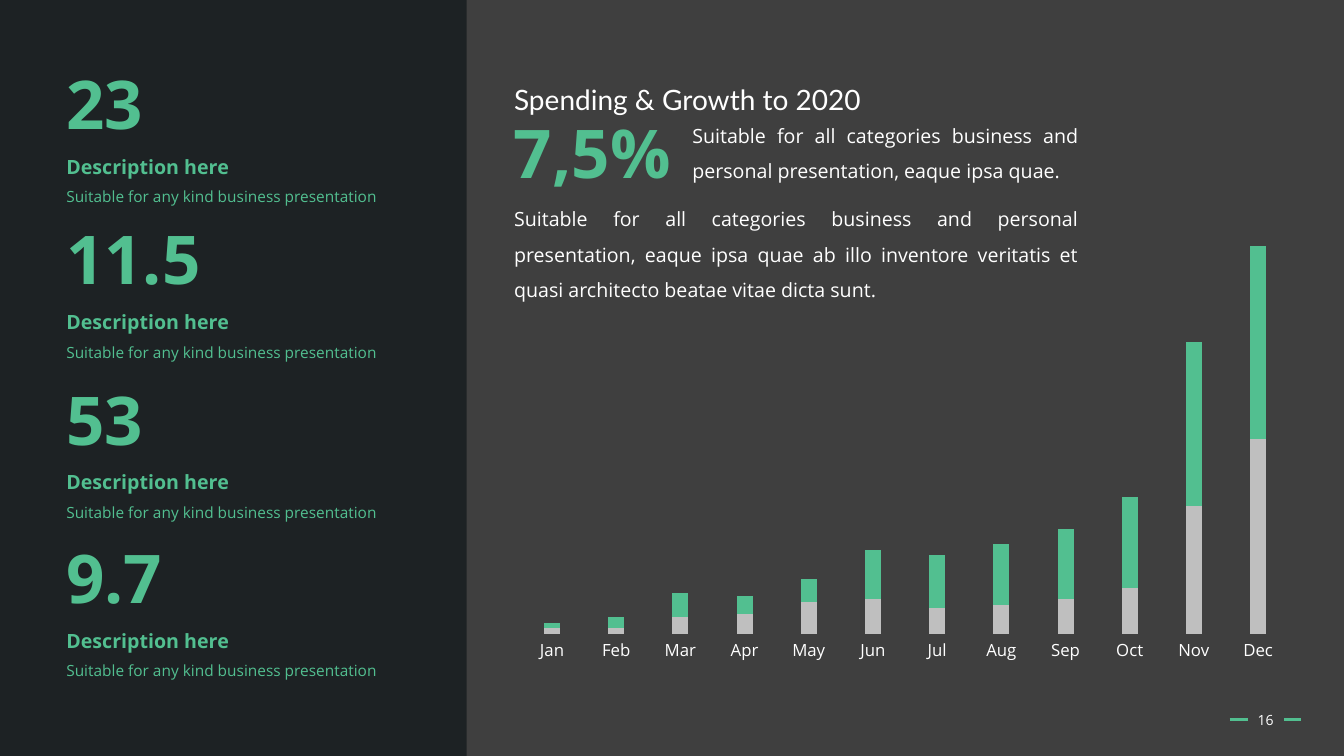
from lxml.etree import SubElement
from pptx import Presentation
from pptx.chart.data import CategoryChartData
from pptx.dml.color import RGBColor
from pptx.enum.chart import XL_CHART_TYPE, XL_TICK_MARK
from pptx.enum.shapes import MSO_CONNECTOR, MSO_SHAPE
from pptx.enum.text import MSO_ANCHOR, MSO_AUTO_SIZE, PP_ALIGN
from pptx.oxml import parse_xml
from pptx.oxml.ns import nsdecls, qn
from pptx.util import Inches, Pt

GREEN = RGBColor(0x52, 0xBF, 0x90)
WHITE = RGBColor(0xFF, 0xFF, 0xFF)
SILVER = RGBColor(0xBF, 0xBF, 0xBF)
CHARCOAL = RGBColor(0x3F, 0x3F, 0x3F)
INK = RGBColor(0x18, 0x1E, 0x20)

SLIDE_WIDTH, SLIDE_HEIGHT = Inches(13.333), Inches(7.5)
STAT_LEFT, CONTENT_LEFT = 4.2, 37.5
STATS = (("23", 7.6), ("11.5", 28.13), ("53", 49.33), ("9.7", 70.27))

MONTHS = ("Jan", "Feb", "Mar", "Apr", "May", "Jun",
          "Jul", "Aug", "Sep", "Oct", "Nov", "Dec")
SPENDING_SERIES = (
    ("Series 1", (2, 2, 6, 7, 11, 12, 9, 10, 12, 16, 44, 67), SILVER),
    ("Series 2", (2, 4, 8, 6, 8, 17, 18, 21, 24, 31, 56, 100), GREEN),
)
PLOT_AREA = {"x": 0.07, "y": 0.125, "w": 0.924, "h": 0.719}


def across(percent):
    return round(SLIDE_WIDTH * percent / 100)


def down(percent):
    return round(SLIDE_HEIGHT * percent / 100)


def area(left, top, width, height):
    return across(left), down(top), across(width), down(height)


def write(paragraph, text, size, color=WHITE, font="Open Sans", bold=False,
          align=PP_ALIGN.LEFT, spacing=1.0):
    paragraph.alignment = align
    paragraph.line_spacing = spacing
    paragraph.space_before = paragraph.space_after = Pt(0)
    run = paragraph.add_run()
    run.text = text
    run.font.name = font
    run.font.size = Pt(size)
    run.font.bold = bold
    run.font.color.rgb = color


def prepare_frame(shape, wrap=True, grow=True, anchor=MSO_ANCHOR.TOP):
    frame = shape.text_frame
    frame.word_wrap = wrap
    frame.auto_size = MSO_AUTO_SIZE.SHAPE_TO_FIT_TEXT if grow else MSO_AUTO_SIZE.NONE
    frame.vertical_anchor = anchor
    return frame


def add_text(slide, place, text, size, wrap=True, grow=True,
             anchor=MSO_ANCHOR.TOP, **text_format):
    frame = prepare_frame(slide.shapes.add_textbox(*area(*place)), wrap, grow, anchor)
    write(frame.paragraphs[0], text, size, **text_format)
    return frame


def fill_placeholder(placeholder, place, text, size, **text_format):
    (placeholder.left, placeholder.top,
     placeholder.width, placeholder.height) = area(*place)
    paragraph = prepare_frame(placeholder).paragraphs[0]
    write(paragraph, text, size, align=PP_ALIGN.JUSTIFY, spacing=1.5, **text_format)
    properties = paragraph._p.get_or_add_pPr()
    properties.set("marL", "0")
    properties.set("indent", "0")
    SubElement(properties, qn("a:buNone"))


def add_side_panel(slide):
    panel = slide.shapes.add_shape(MSO_SHAPE.RECTANGLE, *area(0, 0, 34.73, 100))
    panel.shadow.inherit = False
    panel.fill.solid()
    panel.fill.fore_color.rgb = INK
    panel.line.fill.background()
    color = panel._element.spPr.find(qn("a:solidFill"))[0]
    SubElement(color, qn("a:alpha"), val="85000")


def add_dash(slide, start, end):
    height = down(95.2)
    dash = slide.shapes.add_connector(
        MSO_CONNECTOR.STRAIGHT, across(start), height, across(end), height)
    dash.line.color.rgb = GREEN
    dash.line.width = Pt(1.75)
    SubElement(dash._element.spPr, qn("a:effectLst"))


def add_page_number(slide, number):
    add_dash(slide, 91.5, 92.85)
    add_dash(slide, 95.55, 96.83)
    add_text(slide, (91.95, 92.53, 4.43, 5.33), number, 10, grow=False,
             anchor=MSO_ANCHOR.MIDDLE, align=PP_ALIGN.CENTER)


def add_stat(slide, figure, top):
    frame = add_text(slide, (STAT_LEFT, top, 24.75, 20.53), figure, 48,
                     wrap=False, color=GREEN, bold=True)
    write(frame.add_paragraph(), "Description here", 14,
          color=GREEN, bold=True, spacing=1.5)
    write(frame.add_paragraph(), "Suitable for any kind business presentation", 11,
          color=GREEN, spacing=1.5)


def fix_plot_area(chart):
    plot_area = chart._chartSpace.chart.plotArea
    for layout in plot_area.findall(qn("c:layout")):
        plot_area.remove(layout)
    sizes = "".join(f'<c:{side} val="{share}"/>' for side, share in PLOT_AREA.items())
    plot_area.insert(0, parse_xml(
        f'<c:layout {nsdecls("c")}><c:manualLayout><c:layoutTarget val="inner"/>'
        f'<c:xMode val="edge"/><c:yMode val="edge"/>{sizes}'
        '</c:manualLayout></c:layout>'))


def add_spending_chart(slide):
    data = CategoryChartData()
    data.categories = MONTHS
    for name, values, _ in SPENDING_SERIES:
        data.add_series(name, values)
    chart = slide.shapes.add_chart(
        XL_CHART_TYPE.COLUMN_STACKED, *area(34.35, 23.6, 62.03, 71.47), data).chart
    chart.has_legend = chart.has_title = False
    chart.font.name = "Open Sans"
    chart.font.size = Pt(12)
    chart.font.color.rgb = WHITE
    plot = chart.plots[0]
    plot.gap_width, plot.overlap = 300, 100
    plot.vary_by_categories = False
    for series, (_, _, color) in zip(plot.series, SPENDING_SERIES):
        series.format.fill.solid()
        series.format.fill.fore_color.rgb = color
    months = chart.category_axis
    months.major_tick_mark = months.minor_tick_mark = XL_TICK_MARK.NONE
    months.format.line.fill.background()
    amounts = chart.value_axis
    amounts.minimum_scale, amounts.maximum_scale = 0, 133
    amounts.has_major_gridlines = False
    amounts.visible = False
    fix_plot_area(chart)


def main():
    presentation = Presentation()
    presentation.slide_width, presentation.slide_height = SLIDE_WIDTH, SLIDE_HEIGHT
    slide = presentation.slides.add_slide(presentation.slide_layouts[1])
    slide.background.fill.solid()
    slide.background.fill.fore_color.rgb = CHARCOAL

    add_side_panel(slide)
    add_page_number(slide, "16")
    add_spending_chart(slide)
    for figure, top in STATS:
        add_stat(slide, figure, top)

    fill_placeholder(slide.shapes.title, (CONTENT_LEFT, 8, 42.9, 7.33),
                     "Spending & Growth to 2020", 20, font="Lato")
    fill_placeholder(
        slide.placeholders[1], (CONTENT_LEFT, 25.2, 43.5, 15.47),
        "Suitable for all categories business and personal presentation, eaque ipsa "
        "quae ab illo inventore veritatis et quasi architecto beatae vitae dicta sunt.",
        14)
    add_text(slide, (CONTENT_LEFT, 14.13, 13.28, 12.13), "7,5%", 48,
             wrap=False, color=GREEN, bold=True)
    add_text(slide, (50.78, 14.13, 30.23, 10.8),
             "Suitable for all categories business and personal presentation, "
             "eaque ipsa quae.", 14, align=PP_ALIGN.JUSTIFY, spacing=1.5)
    presentation.save("out.pptx")


if __name__ == "__main__":
    main()
